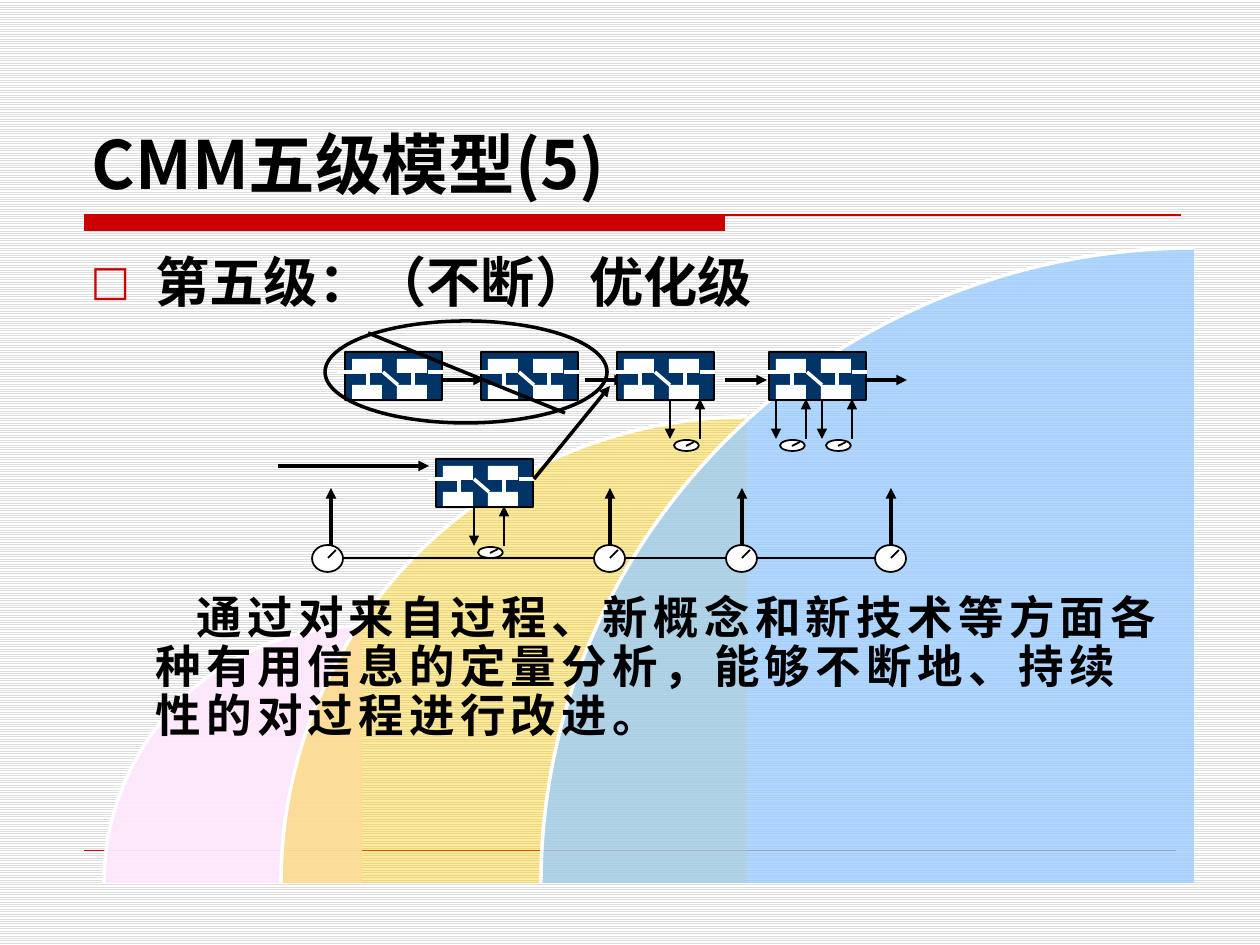
import lxml.etree
import pptx
import pptx.dml.color
import pptx.enum.dml
import pptx.enum.shapes
import pptx.enum.text
import pptx.oxml.ns
import pptx.util

RGB = pptx.dml.color.RGBColor
BLACK = RGB(0x00, 0x00, 0x00)
WHITE = RGB(0xFF, 0xFF, 0xFF)
GREY = RGB(0xDD, 0xDD, 0xDD)
RED = RGB(0xCC, 0x00, 0x00)
NAVY = RGB(0x00, 0x33, 0x66)
PINK = RGB(0xFD, 0xE7, 0xFC)
GOLD = RGB(0xFF, 0xCC, 0x00)
BLUE = RGB(0x99, 0xCC, 0xFF)

SCALE = 914400 / 126
SHAPE = pptx.enum.shapes.MSO_SHAPE
Pt = pptx.util.Pt
qn = pptx.oxml.ns.qn


def px(n):
    return pptx.util.Emu(round(n * SCALE))


def sub(node, tag, **attrs):
    return lxml.etree.SubElement(node, qn(tag), **attrs)


def paint(shape, fill=None, line=None, width=1):
    shape.shadow.inherit = False
    if fill is None:
        shape.fill.background()
    else:
        shape.fill.solid()
        shape.fill.fore_color.rgb = fill
    if line is None:
        shape.line.fill.background()
    else:
        shape.line.color.rgb = line
        shape.line.width = Pt(width)


def block(host, kind, x, y, w, h, fill=None, line=None, width=1):
    shape = host.shapes.add_shape(kind, px(x), px(y), px(w), px(h))
    paint(shape, fill, line, width)


def stroke(host, x1, y1, x2, y2, color=BLACK, width=1, arrow=False):
    line = host.shapes.add_connector(
        pptx.enum.shapes.MSO_CONNECTOR.STRAIGHT, px(x1), px(y1), px(x2), px(y2))
    line.line.color.rgb = color
    line.line.width = Pt(width)
    props = line.element.spPr
    if arrow:
        sub(props.find(qn("a:ln")), "a:tailEnd", type="triangle")
    sub(props, "a:effectLst")


def trace(path, steps):
    """Add drawing steps: M moves, L draws, A turns a quarter, Z closes."""
    tags = {"M": "a:moveTo", "L": "a:lnTo", "A": "a:arcTo", "Z": "a:close"}
    for kind, *spot in steps:
        node = sub(path, tags[kind])
        if kind == "A":
            for name, size in zip(("wR", "hR"), spot):
                node.set(name, str(px(size)))
            node.set("stAng", "10800000")
            node.set("swAng", "5400000")
        elif spot:
            sub(node, "a:pt", x=str(px(spot[0])), y=str(px(spot[1])))


def outline(slide, x, y, w, h, paths):
    """Freeform of several paths, each a pair of attributes and steps."""
    form = slide.shapes.build_freeform(px(x), px(y), scale=1.0)
    form.add_line_segments([(px(x + w), px(y)), (px(x + w), px(y + h))])
    shape = form.convert_to_shape()
    parts = shape.element.spPr.find(qn("a:custGeom")).find(qn("a:pathLst"))
    for old in list(parts):
        parts.remove(old)
    for attrs, steps in paths:
        trace(sub(parts, "a:path", w=str(px(w)), h=str(px(h)), **attrs), steps)
    return shape


def quarter(slide, x, y, w, h, color, alpha):
    """Top left quarter of an ellipse with a white rim."""
    rim = [("M", 0, h), ("A", w, h)]
    shape = outline(slide, x, y, w, h, [
        ({"stroke": "0"}, rim + [("L", w, h), ("Z",)]),
        ({"fill": "none"}, rim)])
    paint(shape, color, WHITE, 2)
    tint = shape.element.spPr.find(qn("a:solidFill"))[0]
    sub(tint, "a:alpha", val=str(alpha * 1000))


def ruler(slide, x, y, w, h):
    """Thick bar with a thin rule running on from its top edge."""
    bar = 641
    shape = outline(slide, x, y, w, h, [
        ({"stroke": "0"}, [("M", 0, 0), ("L", bar, 0), ("L", bar, h),
                           ("L", 0, h), ("Z",)]),
        ({}, [("M", 0, 0), ("L", w, 0)])])
    paint(shape, RED, RED, 0.75)


def backdrop(slide):
    fill = slide.background.fill
    fill.patterned()
    fill.pattern = pptx.enum.dml.MSO_PATTERN.LIGHT_HORIZONTAL
    fill.fore_color.rgb = GREY
    fill.back_color.rgb = WHITE
    ruler(slide, 84, 215, 1097, 16)
    stroke(slide, 84, 850, 1176, 850, RED, 0.25)
    quarter(slide, 104, 626, 258, 257, PINK, 95)
    quarter(slide, 281, 417, 466, 466, GOLD, 39)
    quarter(slide, 541, 248, 653, 635, BLUE, 77)


def place(shape, x, y, w, h, anchor):
    shape.left, shape.top, shape.width, shape.height = map(px, (x, y, w, h))
    frame = shape.text_frame
    frame.word_wrap = True
    frame.auto_size = pptx.enum.text.MSO_AUTO_SIZE.NONE
    frame.vertical_anchor = anchor
    shape.element.getparent().append(shape.element)  # in front of the backdrop
    return frame


def style(para, size, face, gap=0):
    para.alignment = pptx.enum.text.PP_ALIGN.LEFT
    for run in para.runs:
        run.font.size = Pt(size)
        run.font.bold = True
        run.font.name = face
        run.font.color.rgb = BLACK
        props = run._r.get_or_add_rPr()
        sub(props, "a:ea", typeface=face)
        if gap:
            props.set("spc", str(gap * 100))


def indent(para, left, first):
    props = para._p.get_or_add_pPr()
    props.set("marL", str(px(left)))
    props.set("indent", str(px(first)))
    return props


def heading(slide, x, y, w, h):
    frame = place(slide.shapes.title, x, y, w, h,
                  pptx.enum.text.MSO_ANCHOR.BOTTOM)
    frame.text = "CMM五级模型(5)"
    style(frame.paragraphs[0], 38, "Noto Sans CJK SC")


def body(slide, x, y, w, h):
    frame = place(slide.placeholders[1], x, y, w, h,
                  pptx.enum.text.MSO_ANCHOR.TOP)
    frame.text = ("第五级：（不断）优化级\n"
                  "通过对来自过程、新概念和新技术等方面各种有用信息的定量分析，"
                  "能够不断地、持续性的对过程进行改进。")
    level, note = frame.paragraphs
    props = indent(level, 65, -65)
    sub(sub(props, "a:buClr"), "a:srgbClr", val=str(RED))
    sub(props, "a:buSzPct", val="77000")
    sub(props, "a:buFont", typeface="DejaVu Sans")
    sub(props, "a:buChar", char="□")
    level.space_before = Pt(0)
    style(level, 31, "DejaVu Sans")
    note.level = 1
    sub(indent(note, 65, 41), "a:buNone")
    note.space_before = Pt(161)
    note.line_spacing = 0.9
    style(note, 26, "DejaVu Sans", gap=3)


def process(host, x, y):
    block(host, SHAPE.RECTANGLE, x, y, 97, 48, NAVY, BLACK)
    for dx in (7, 52):
        for dy in (7, 33):
            block(host, SHAPE.RECTANGLE, x + dx, y + dy, 30, 14, WHITE)
    for x1, y1, x2, y2 in ((-8, 20, 23, 20), (23, 20, 23, 33), (38, 20, 53, 33),
                           (68, 33, 68, 20), (83, 20, 98, 20)):
        stroke(host, x + x1, y + y1, x + x2, y + y2, WHITE, 2)


def gauge(host, x, y):
    """Small meter fed by a down arrow at x and read by an up arrow."""
    block(host, SHAPE.OVAL, x + 4, y + 41, 25, 11, WHITE, BLACK)
    stroke(host, x + 16, y + 47, x + 24, y + 43)
    stroke(host, x, y, x, y + 40, arrow=True)
    stroke(host, x + 30, y + 40, x + 30, y, arrow=True)


def dial(host, x, y, shift=0):
    """Large meter centred at x, y with an arrow rising from it."""
    stroke(host, x + shift, y - 13, x + shift, y - 70, width=2, arrow=True)
    block(host, SHAPE.OVAL, x - 16, y - 13, 31, 27, WHITE, BLACK)
    stroke(host, x, y, x + 8, y - 8)


def diagram(slide, x, y):
    """Process flow with its meters, from its top left corner."""
    host = slide.shapes.add_group_shape()
    for x1, x2 in ((165, 206), (307, 347), (447, 489), (588, 629)):
        stroke(host, x + x1, y + 59, x + x2, y + 59, width=2, arrow=True)
    stroke(host, x, y + 145, x + 151, y + 145, width=2, arrow=True)
    stroke(host, x + 50, y + 237, x + 613, y + 237)
    for dx, shift in ((50, 3), (332, 0), (464, 0), (613, 0)):
        dial(host, x + dx, y + 237, shift)
    for dx, dy in ((67, 31), (203, 31), (339, 31), (491, 31), (158, 138)):
        process(host, x + dx, y + dy)
    stroke(host, x + 256, y + 158, x + 332, y + 65, width=2, arrow=True)
    block(host, SHAPE.OVAL, x + 47, y, 282, 102, None, BLACK, 2)
    stroke(host, x + 90, y + 12, x + 287, y + 92, width=2)
    for dx, dy in ((196, 185), (392, 78), (498, 78), (544, 78)):
        gauge(host, x + dx, y + dy)


def main():
    deck = pptx.Presentation()
    deck.slide_width, deck.slide_height = px(1260), px(945)
    slide = deck.slides.add_slide(deck.slide_layouts[1])
    backdrop(slide)
    heading(slide, 79, 42, 1102, 167)
    body(slide, 78, 242, 1102, 588)
    diagram(slide, 278, 321)
    deck.save("out.pptx")


if __name__ == "__main__":
    main()
